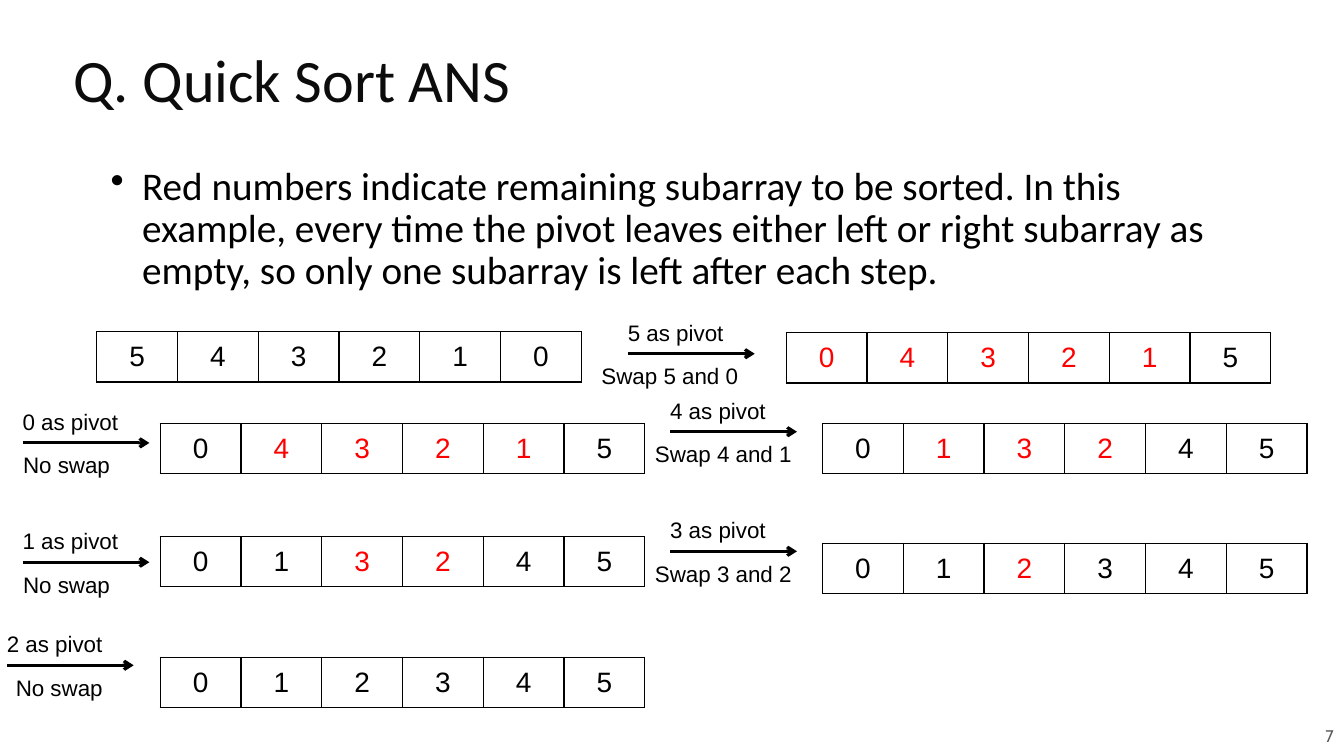
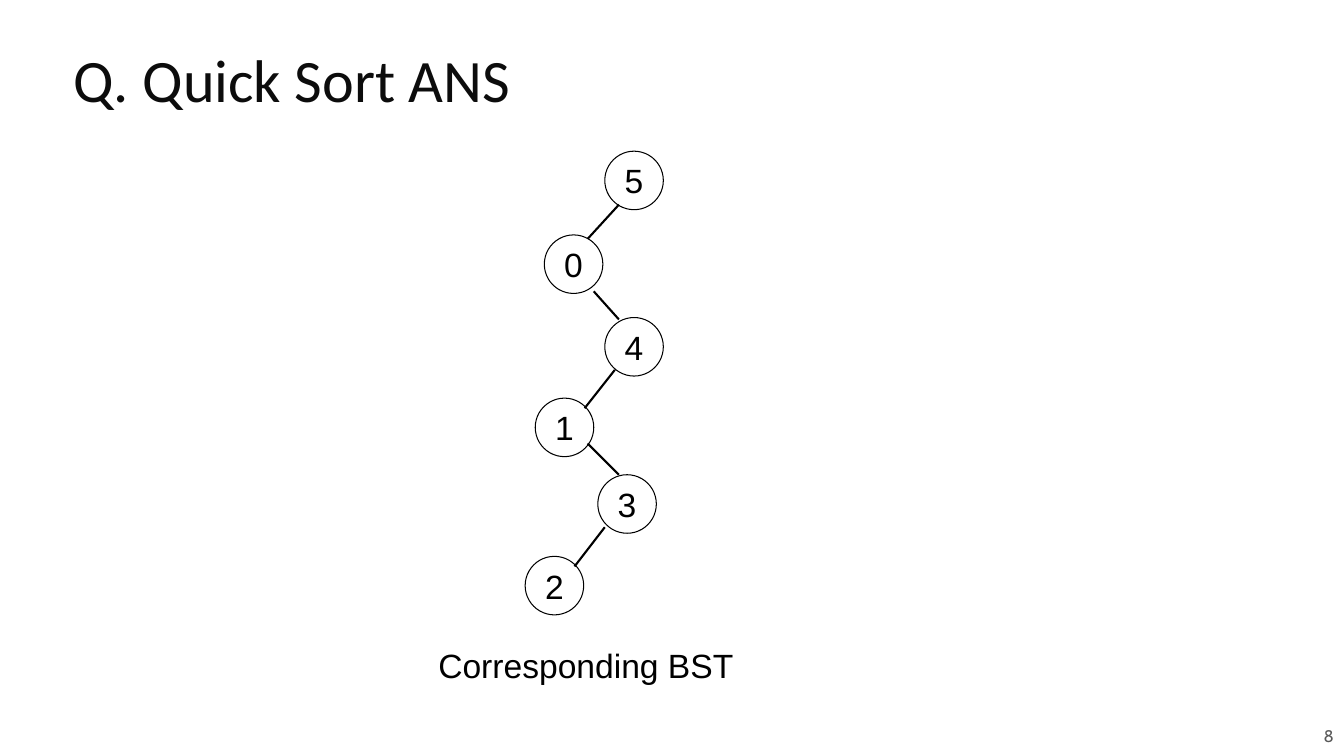
from lxml import etree
from pptx import Presentation
from pptx.dml.color import RGBColor
from pptx.enum.shapes import MSO_CONNECTOR, MSO_SHAPE
from pptx.enum.text import MSO_ANCHOR, PP_ALIGN
from pptx.oxml.ns import qn
from pptx.util import Pt

STRAIGHT = MSO_CONNECTOR.STRAIGHT
ELLIPSE = MSO_SHAPE.OVAL
TOP, MIDDLE = MSO_ANCHOR.TOP, MSO_ANCHOR.MIDDLE
LEFT, CENTER, RIGHT = PP_ALIGN.LEFT, PP_ALIGN.CENTER, PP_ALIGN.RIGHT

BLACK, WHITE, RED = "000000", "FFFFFF", "FF0000"
TITLE_INK, NUMBER_INK = "0C0C0C", "595959"
HEADING_FONT, LABEL_FONT, NUMBER_FONT = "Calibri", "Arial", "Cabin"

CELL_WIDTH, CELL_HEIGHT = 57.7, 36
ARROW_LENGTH = 90.5
NODE_SIZE = 41.8

# values, unsorted cells (start, end), array position, arrow start,
# pivot, swap label, left of the swap label
STEPS = [
    ("043215", (0, 5), (561.6, 237.6), (448.6, 252.7), 5, "Swap 5 and 0", 422.6),
    ("043215", (1, 5), (114.5, 302.4), (16.2, 316.4), 0, "No swap", 9.4),
    ("013245", (1, 4), (587.5, 302.4), (478.8, 308.4), 4, "Swap 4 and 1", 460.8),
    ("013245", (2, 4), (114.5, 383.2), (16.2, 401.6), 1, "No swap", 9.4),
    ("012345", (2, 3), (587.5, 388), (478.8, 393.8), 3, "Swap 3 and 2", 460.8),
    ("012345", (0, 0), (114.5, 469.4), (5, 475.2), 2, "No swap", 4.2),
]

BST_NODES = [
    ("5", 432, 108), ("0", 388.8, 167.8), ("4", 432, 226.8),
    ("1", 382.3, 284.4), ("3", 427, 339.1), ("2", 375.1, 397.4),
]
BST_EDGES = [
    ((442.1, 146.2), (419.8, 170.6)), ((424.1, 208.1), (442.1, 228.2)),
    ((439.2, 264.2), (417.6, 291.6)), ((419.8, 316.8), (442.1, 339.1)),
    ((432, 376.6), (410.4, 404.6)),
]


def rgb(hex_color):
    return RGBColor.from_string(hex_color)


def style(paragraph, size, font=LABEL_FONT, color=BLACK, align=LEFT):
    paragraph.alignment = align
    paragraph.font.size = Pt(size)
    paragraph.font.name = font
    paragraph.font.color.rgb = rgb(color)


def add_bullet(paragraph, indent):
    properties = paragraph._p.get_or_add_pPr()
    properties.set("marL", str(Pt(indent)))
    properties.set("indent", str(-Pt(indent)))
    bullet_color = etree.SubElement(properties, qn("a:buClr"))
    etree.SubElement(bullet_color, qn("a:srgbClr"), val=BLACK)
    etree.SubElement(properties, qn("a:buChar"), char="•")


def outline_cell(cell, width=1):
    properties = cell._tc.get_or_add_tcPr()
    for index, side in enumerate(("lnL", "lnR", "lnT", "lnB")):
        border = etree.Element(qn(f"a:{side}"), w=str(Pt(width)))
        fill = etree.SubElement(border, qn("a:solidFill"))
        etree.SubElement(fill, qn("a:srgbClr"), val=BLACK)
        properties.insert(index, border)


class Deck:
    def __init__(self):
        self.presentation = Presentation()
        self.presentation.slide_width = Pt(960)
        self.presentation.slide_height = Pt(540)
        self.shapes = None

    def new_slide(self, title, number):
        slide = self.presentation.slides.add_slide(self.presentation.slide_layouts[6])
        slide.background.fill.solid()
        slide.background.fill.fore_color.rgb = rgb(WHITE)
        self.shapes = slide.shapes
        self.text(str(number), 622.8, 511.2, 337, 28.8, 12, NUMBER_FONT,
                  NUMBER_INK, RIGHT, MIDDLE)
        heading = self.text(title, 45.4, 20.9, 880.6, 79.9, 43, HEADING_FONT,
                            TITLE_INK, anchor=MIDDLE)
        heading.line_spacing = 0.8

    def text(self, words, left, top, width, height, size, font=LABEL_FONT,
             color=BLACK, align=LEFT, anchor=TOP):
        """Add a text box and return its paragraph."""
        frame = self.shapes.add_textbox(
            Pt(left), Pt(top), Pt(width), Pt(height)).text_frame
        frame.word_wrap = True
        frame.vertical_anchor = anchor
        paragraph = frame.paragraphs[0]
        paragraph.text = words
        style(paragraph, size, font, color, align)
        return paragraph

    def bullet(self, words, left, top, width, height):
        paragraph = self.text(words, left, top, width, height, 28, HEADING_FONT)
        add_bullet(paragraph, 22.5)
        paragraph.line_spacing = 0.9

    def line(self, start, end, width, arrow=False):
        connector = self.shapes.add_connector(
            STRAIGHT, *(Pt(length) for length in (*start, *end)))
        connector.line.color.rgb = rgb(BLACK)
        connector.line.width = Pt(width)
        if arrow:
            etree.SubElement(connector.line._get_or_add_ln(), qn("a:tailEnd"), type="arrow")
        etree.SubElement(connector._element.spPr, qn("a:effectLst"))

    def array(self, values, left, top, unsorted=(0, 0)):
        """Draw the values in a row, with the unsorted cells in red."""
        table = self.shapes.add_table(
            1, len(values), Pt(left), Pt(top),
            Pt(CELL_WIDTH * len(values)), Pt(CELL_HEIGHT)).table
        table.first_row = table.horz_banding = False
        for index, value in enumerate(values):
            table.columns[index].width = Pt(CELL_WIDTH)
            cell = table.cell(0, index)
            cell.text = value
            cell.vertical_anchor = MIDDLE
            cell.fill.background()
            outline_cell(cell)
            color = RED if index in range(*unsorted) else BLACK
            style(cell.text_frame.paragraphs[0], 20, color=color, align=CENTER)

    def pivot_arrow(self, left, top, pivot, swap, swap_left):
        self.line((left, top), (left + ARROW_LENGTH, top), 2.25, arrow=True)
        self.text(f"{pivot} as pivot", left - 7.2, top - 28.6, 94, 26.6, 16)
        self.text(swap, swap_left, top + 2.6, 130, 26.6, 16)

    def node(self, value, left, top):
        circle = self.shapes.add_shape(
            ELLIPSE, Pt(left), Pt(top), Pt(NODE_SIZE), Pt(NODE_SIZE))
        circle.shadow.inherit = False
        circle.fill.solid()
        circle.fill.fore_color.rgb = rgb(WHITE)
        circle.line.color.rgb = rgb(BLACK)
        circle.line.width = Pt(0.75)
        frame = circle.text_frame
        frame.word_wrap = False
        frame.vertical_anchor = MIDDLE
        frame.text = value
        style(frame.paragraphs[0], 24, align=CENTER)


def main():
    deck = Deck()
    title = "Q. Quick Sort ANS"

    deck.new_slide(title, 7)
    deck.bullet(
        "Red numbers indicate remaining subarray to be sorted. In this example, "
        "every time the pivot leaves either left or right subarray as empty, "
        "so only one subarray is left after each step.", 72, 115.2, 832.3, 103.7)
    deck.array("543210", 69.1, 236.9)
    for values, unsorted, place, arrow_start, pivot, swap, swap_left in STEPS:
        deck.array(values, *place, unsorted)
        deck.pivot_arrow(*arrow_start, pivot, swap, swap_left)

    deck.new_slide(title, 8)
    for value, left, top in BST_NODES:
        deck.node(value, left, top)
    for parent_end, child_end in BST_EDGES:
        deck.line(parent_end, child_end, 1.5)
    deck.text("Corresponding BST", 306, 457.2, 232, 36, 24)

    deck.presentation.save("out.pptx")


if __name__ == "__main__":
    main()
